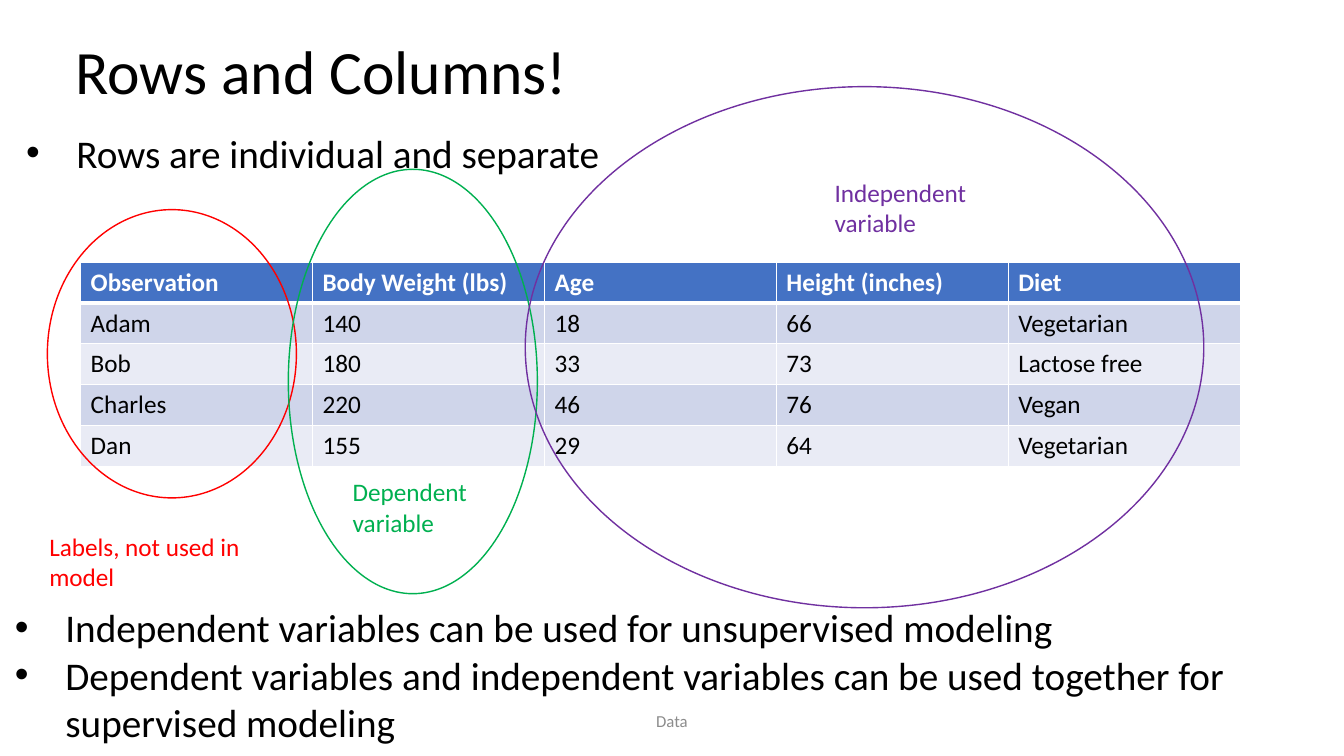
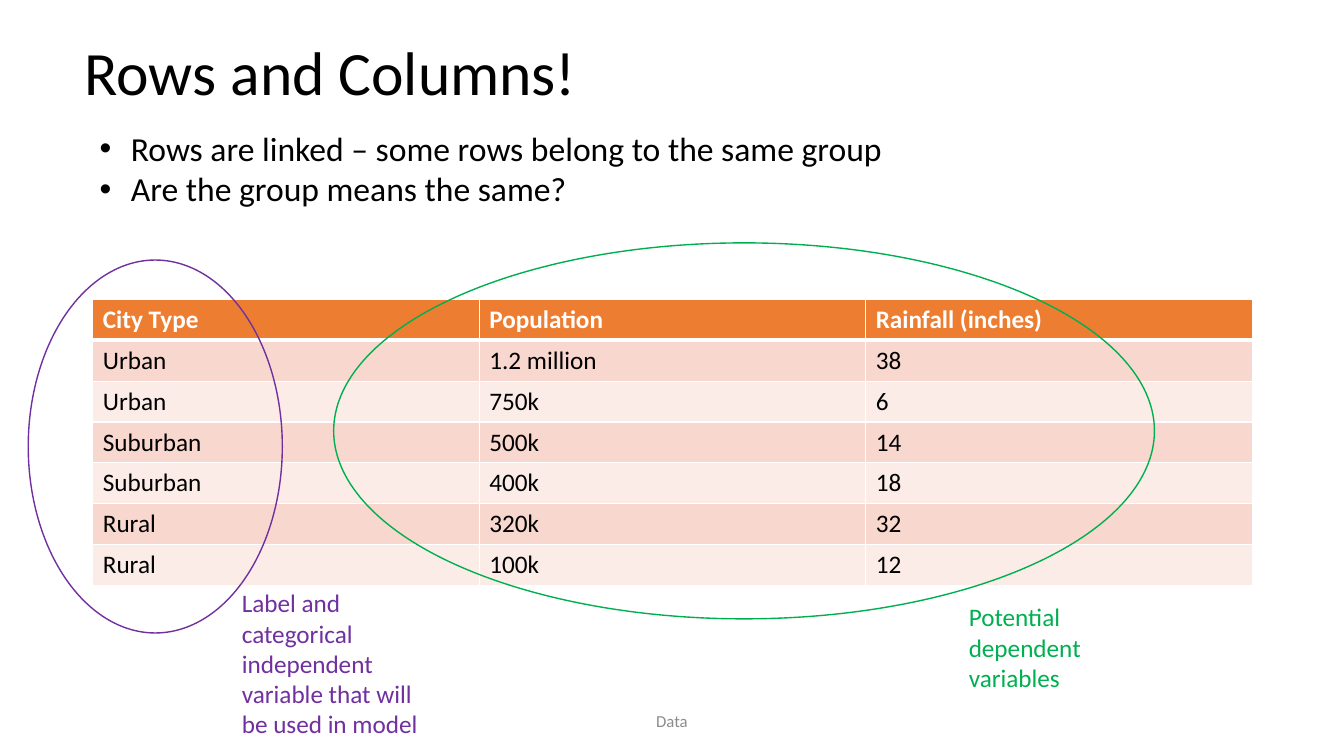
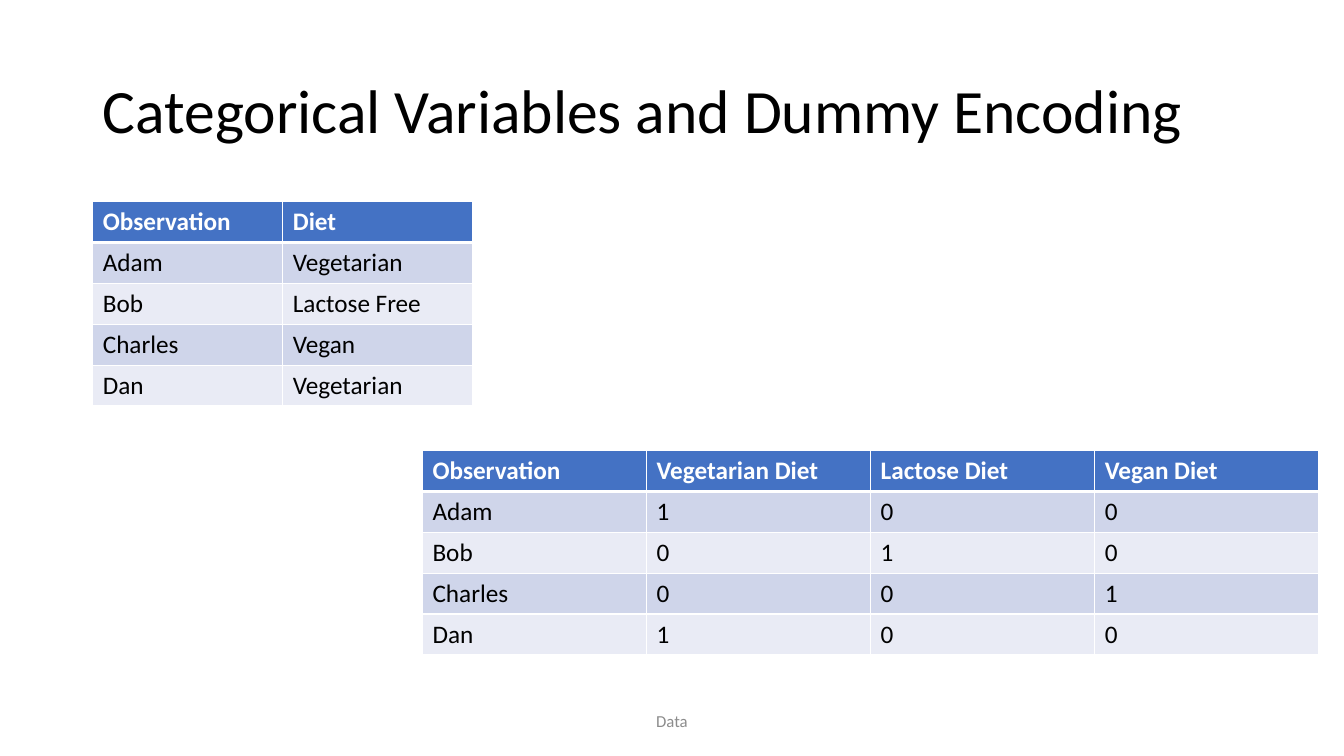
from lxml import etree
from pptx import Presentation
from pptx.dml.color import RGBColor
from pptx.enum.shapes import MSO_SHAPE
from pptx.enum.text import MSO_ANCHOR, PP_ALIGN
from pptx.oxml.ns import qn
from pptx.util import Inches, Pt

OVAL = MSO_SHAPE.OVAL
MIDDLE = MSO_ANCHOR.MIDDLE
CENTER = PP_ALIGN.CENTER

BLACK = RGBColor(0x00, 0x00, 0x00)
WHITE = RGBColor(0xFF, 0xFF, 0xFF)
GREY = RGBColor(0x8C, 0x8C, 0x8C)
RED = RGBColor(0xFF, 0x00, 0x00)
GREEN = RGBColor(0x00, 0xB0, 0x50)
PURPLE = RGBColor(0x70, 0x30, 0xA0)
# Header fill, odd row fill, even row fill
BLUE_BANDS = (RGBColor(0x44, 0x72, 0xC4), RGBColor(0xCF, 0xD5, 0xEA), RGBColor(0xE9, 0xEB, 0xF5))
ORANGE_BANDS = (RGBColor(0xED, 0x7D, 0x31), RGBColor(0xF8, 0xD7, 0xCE), RGBColor(0xFC, 0xEC, 0xE8))

FONT = "Calibri"
SLIDE_WIDTH, SLIDE_HEIGHT = 13.33, 7.5
CONTENT_WIDTH = 11.5
TITLE_HEIGHT = 1.45
LABEL_WIDTH = 2.11
ROW_HEIGHT = Pt(29.2)
FOOTER = "Data"
FOOTER_WIDTH, FOOTER_HEIGHT, FOOTER_TOP = 4.5, 0.4, 6.95

# Tables: (left, top, width), bands, rows.  Ovals: box, colour.
# Labels: (left, top, height), colour, text.  Bullets: box, size, indent, lines.
SLIDES = [
    {
        "title": ("Rows and Columns!", 0.65, 0.01),
        "tables": [((0.8, 2.6, CONTENT_WIDTH), BLUE_BANDS, [
            ("Observation", "Body Weight (lbs)", "Age", "Height (inches)", "Diet"),
            ("Adam", "140", "18", "66", "Vegetarian"),
            ("Bob", "180", "33", "73", "Lactose free"),
            ("Charles", "220", "46", "76", "Vegan"),
            ("Dan", "155", "29", "64", "Vegetarian"),
        ])],
        "ovals": [
            ((0.47, 2.08, 2.47, 2.86), RED),
            ((2.86, 1.68, 2.47, 4.21), GREEN),
            ((5.21, 0.86, 6.73, 5.17), PURPLE),
        ],
        "labels": [
            ((0.39, 5.22, 0.71), RED, "Labels, not used in model"),
            ((3.4, 4.68, 0.71), GREEN, "Dependent variable"),
            ((8.18, 1.71, 0.71), PURPLE, "Independent variable"),
        ],
        "bullets": [
            ((0.16, 1.23, 6.01, 0.57), 28, 0.5, ["Rows are individual and separate"]),
            ((0.05, 5.94, 12.69, 1.51), 28, 0.5, [
                "Independent variables can be used for unsupervised modeling",
                "Dependent variables and independent variables can be used together "
                "for supervised modeling",
            ]),
        ],
    },
    {
        "title": ("Rows and Columns!", 0.74, 0.02),
        "tables": [((0.92, 2.97, CONTENT_WIDTH), ORANGE_BANDS, [
            ("City Type", "Population", "Rainfall (inches)"),
            ("Urban", "1.2 million", "38"),
            ("Urban", "750k", "6"),
            ("Suburban", "500k", "14"),
            ("Suburban", "400k", "18"),
            ("Rural", "320k", "32"),
            ("Rural", "100k", "12"),
        ])],
        "ovals": [
            ((3.31, 2.41, 8.14, 3.73), GREEN),
            ((0.28, 2.58, 2.52, 3.7), PURPLE),
        ],
        "labels": [
            ((2.3, 5.78, 1.62), PURPLE,
             "Label and categorical independent variable that will be used in model"),
            ((9.51, 5.92, 1.01), GREEN, "Potential dependent variables"),
        ],
        "bullets": [
            ((0.89, 1.22, 8.03, 0.91), 24, 0.31, [
                "Rows are linked – some rows belong to the same group",
                "Are the group means the same?",
            ]),
        ],
    },
    {
        "title": ("Categorical Variables and Dummy Encoding", 0.92, 0.4),
        "tables": [
            ((0.92, 2, 3.77), BLUE_BANDS, [
                ("Observation", "Diet"),
                ("Adam", "Vegetarian"),
                ("Bob", "Lactose Free"),
                ("Charles", "Vegan"),
                ("Dan", "Vegetarian"),
            ]),
            ((4.19, 4.47, 8.89), BLUE_BANDS, [
                ("Observation", "Vegetarian Diet", "Lactose Diet", "Vegan Diet"),
                ("Adam", "1", "0", "0"),
                ("Bob", "0", "1", "0"),
                ("Charles", "0", "0", "1"),
                ("Dan", "1", "0", "0"),
            ]),
        ],
        "ovals": [],
        "labels": [],
        "bullets": [],
    },
]


def style_font(paragraph, size, color, bold=False):
    font = paragraph.font
    font.name, font.size, font.bold = FONT, Pt(size), bold
    font.color.rgb = color


def add_text(slide, area, lines, size, color=BLACK, indent=0):
    """Add a wrapped text box; a nonzero indent makes its lines bullets."""
    box = slide.shapes.add_textbox(*map(Inches, area))
    frame = box.text_frame
    frame.word_wrap = True
    frame.text = "\n".join(lines)
    for paragraph in frame.paragraphs:
        if indent:
            properties = paragraph._p.get_or_add_pPr()
            properties.set("marL", str(Inches(indent)))
            properties.set("indent", str(-Inches(indent)))
            etree.SubElement(properties, qn("a:buFont")).set("typeface", "Arial")
            etree.SubElement(properties, qn("a:buChar")).set("char", "•")
        style_font(paragraph, size, color)
    return frame


def add_title(slide, text, left, top):
    frame = add_text(slide, (left, top, CONTENT_WIDTH, TITLE_HEIGHT), [text], 44)
    frame.vertical_anchor = MIDDLE
    frame.paragraphs[0].line_spacing = 0.9


def add_footer(slide):
    left = (SLIDE_WIDTH - FOOTER_WIDTH) / 2
    frame = add_text(slide, (left, FOOTER_TOP, FOOTER_WIDTH, FOOTER_HEIGHT), [FOOTER], 12, GREY)
    frame.vertical_anchor = MIDDLE
    frame.paragraphs[0].alignment = CENTER


def set_borders(cell, row_index):
    """White rules, thicker between the header and the first row."""
    properties = cell._tc.get_or_add_tcPr()
    widths = {"L": 1, "R": 1, "T": 3 if row_index == 1 else 1, "B": 3 if row_index == 0 else 1}
    for side, width in widths.items():
        line = etree.SubElement(properties, qn(f"a:ln{side}"), w=str(Pt(width)))
        fill = etree.SubElement(line, qn("a:solidFill"))
        etree.SubElement(fill, qn("a:srgbClr")).set("val", str(WHITE))


def add_banded_table(slide, place, bands, rows):
    left, top, width = map(Inches, place)
    frame = slide.shapes.add_table(len(rows), len(rows[0]), left, top, width,
                                   ROW_HEIGHT * len(rows))
    header_fill, odd_fill, even_fill = bands
    for row_index, row in enumerate(rows):
        is_header = row_index == 0
        fill = header_fill if is_header else odd_fill if row_index % 2 else even_fill
        for column_index, text in enumerate(row):
            cell = frame.table.cell(row_index, column_index)
            set_borders(cell, row_index)
            cell.fill.solid()
            cell.fill.fore_color.rgb = fill
            cell.text = text
            style_font(cell.text_frame.paragraphs[0], 18, WHITE if is_header else BLACK, is_header)


def add_oval(slide, area, color):
    oval = slide.shapes.add_shape(OVAL, *map(Inches, area))
    oval.shadow.inherit = False
    oval.fill.background()
    oval.line.color.rgb = color
    oval.line.width = Pt(1)


def build_slide(deck, content):
    slide = deck.slides.add_slide(deck.slide_layouts[6])
    add_title(slide, *content["title"])
    for table in content["tables"]:
        add_banded_table(slide, *table)
    add_footer(slide)
    for oval in content["ovals"]:
        add_oval(slide, *oval)
    for (left, top, height), color, text in content["labels"]:
        add_text(slide, (left, top, LABEL_WIDTH, height), [text], 18, color)
    for area, size, indent, lines in content["bullets"]:
        add_text(slide, area, lines, size, indent=indent)


def main():
    deck = Presentation()
    deck.slide_width, deck.slide_height = Inches(SLIDE_WIDTH), Inches(SLIDE_HEIGHT)
    for content in SLIDES:
        build_slide(deck, content)
    deck.save("out.pptx")


if __name__ == "__main__":
    main()
